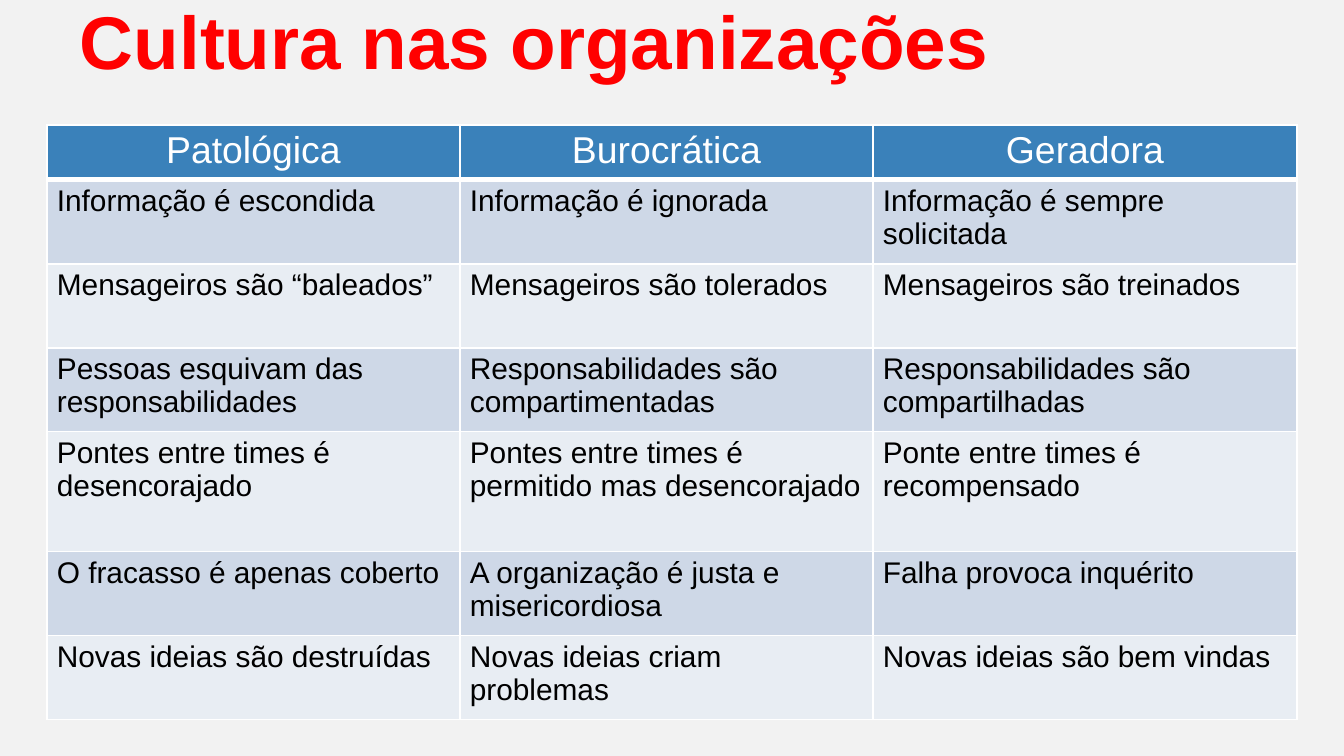
from dataclasses import dataclass
from typing import NamedTuple

import pptx
import pptx.dml.color
import pptx.enum.text
import pptx.oxml
import pptx.oxml.ns
import pptx.util

PX_PER_INCH = 134.4


@dataclass(frozen=True)
class Theme:
    font: str = "Arial"
    background: str = "F2F2F2"
    title: str = "FF0000"
    header_fill: str = "3A81BA"
    header_text: str = "FFFFFF"
    body_text: str = "000000"
    bands: tuple[str, str] = ("CED8E7", "E8EDF3")
    rule: str = "FFFFFF"
    title_size: int = 40
    header_size: int = 20
    body_size: int = 16
    thin_rule: int = 1
    thick_rule: int = 3


class CultureRow(NamedTuple):
    pathological: str
    bureaucratic: str
    generative: str
    height: int = 84


THEME = Theme()
COLUMN_WIDTHS = (413, 413, 424)
CULTURES = (
    CultureRow("Patológica", "Burocrática", "Geradora", 54),
    CultureRow("Informação é escondida", "Informação é ignorada",
               "Informação é sempre solicitada"),
    CultureRow("Mensageiros são “baleados”", "Mensageiros são tolerados",
               "Mensageiros são treinados"),
    CultureRow("Pessoas esquivam das responsabilidades",
               "Responsabilidades são compartimentadas",
               "Responsabilidades são compartilhadas"),
    CultureRow("Pontes entre times é desencorajado",
               "Pontes entre times é permitido mas desencorajado",
               "Ponte entre times é recompensado", 120),
    CultureRow("O fracasso é apenas coberto",
               "A organização é justa e misericordiosa",
               "Falha provoca inquérito"),
    CultureRow("Novas ideias são destruídas", "Novas ideias criam problemas",
               "Novas ideias são bem vindas"),
)


def px(length: int) -> pptx.util.Emu:
    return pptx.util.Inches(length / PX_PER_INCH)


def rgb(color: str) -> pptx.dml.color.RGBColor:
    return pptx.dml.color.RGBColor.from_string(color)


def write(frame, text: str, *, size: int, color: str, bold: bool = False,
          centered: bool = False) -> None:
    frame.word_wrap = True
    paragraph = frame.paragraphs[0]
    align = pptx.enum.text.PP_ALIGN
    paragraph.alignment = align.CENTER if centered else align.LEFT
    run = paragraph.add_run()
    run.text = text
    run.font.name = THEME.font
    run.font.size = pptx.util.Pt(size)
    run.font.bold = bold
    run.font.color.rgb = rgb(color)


def draw_rules(cell, bottom: int) -> None:
    properties = cell._tc.get_or_add_tcPr()
    thin = THEME.thin_rule
    for side, weight in (("L", thin), ("R", thin), ("T", thin), ("B", bottom)):
        properties.append(pptx.oxml.parse_xml(
            f'<a:ln{side} {pptx.oxml.ns.nsdecls("a")} w="{pptx.util.Pt(weight)}">'
            f'<a:solidFill><a:srgbClr val="{THEME.rule}"/></a:solidFill>'
            f'</a:ln{side}>'))


def draw_title(slide, text: str) -> None:
    title = slide.shapes.add_textbox(px(67), px(13), px(1210), px(84))
    frame = title.text_frame
    frame.vertical_anchor = pptx.enum.text.MSO_ANCHOR.BOTTOM
    frame.margin_left = frame.margin_right = px(13)
    frame.margin_top = frame.margin_bottom = px(13)
    write(frame, text, size=THEME.title_size, color=THEME.title, bold=True)


def fill_cell(cell, text: str, row_index: int) -> None:
    is_header = row_index == 0
    cell.margin_left = cell.margin_right = px(10)
    cell.margin_top = cell.margin_bottom = px(5)
    draw_rules(cell, THEME.thick_rule if is_header else THEME.thin_rule)
    cell.fill.solid()
    cell.fill.fore_color.rgb = rgb(
        THEME.header_fill if is_header else THEME.bands[(row_index - 1) % 2])
    write(cell.text_frame, text, centered=is_header,
          size=THEME.header_size if is_header else THEME.body_size,
          color=THEME.header_text if is_header else THEME.body_text)


def draw_cultures(slide, cultures: tuple[CultureRow, ...]) -> None:
    comparison = slide.shapes.add_table(
        len(cultures), len(COLUMN_WIDTHS), px(47), px(125),
        px(sum(COLUMN_WIDTHS)), px(sum(row.height for row in cultures))).table
    for column, width in zip(comparison.columns, COLUMN_WIDTHS):
        column.width = px(width)
    for row_index, culture in enumerate(cultures):
        comparison.rows[row_index].height = px(culture.height)
        traits = (culture.pathological, culture.bureaucratic, culture.generative)
        for column_index, trait in enumerate(traits):
            fill_cell(comparison.cell(row_index, column_index), trait, row_index)


def main() -> None:
    deck = pptx.Presentation()
    deck.slide_width, deck.slide_height = px(1344), px(756)
    slide = deck.slides.add_slide(deck.slide_layouts[6])
    slide.background.fill.solid()
    slide.background.fill.fore_color.rgb = rgb(THEME.background)
    draw_title(slide, "Cultura nas organizações")
    draw_cultures(slide, CULTURES)
    deck.save("out.pptx")


if __name__ == "__main__":
    main()
